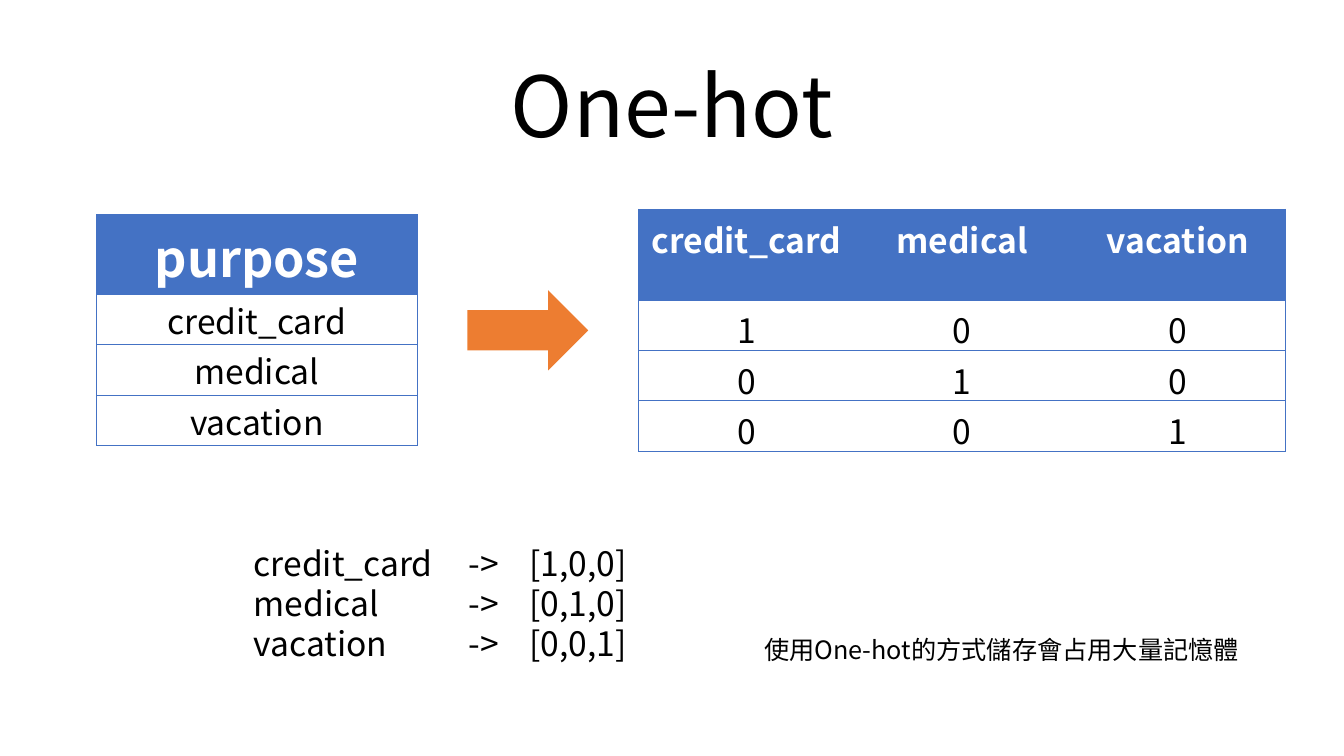
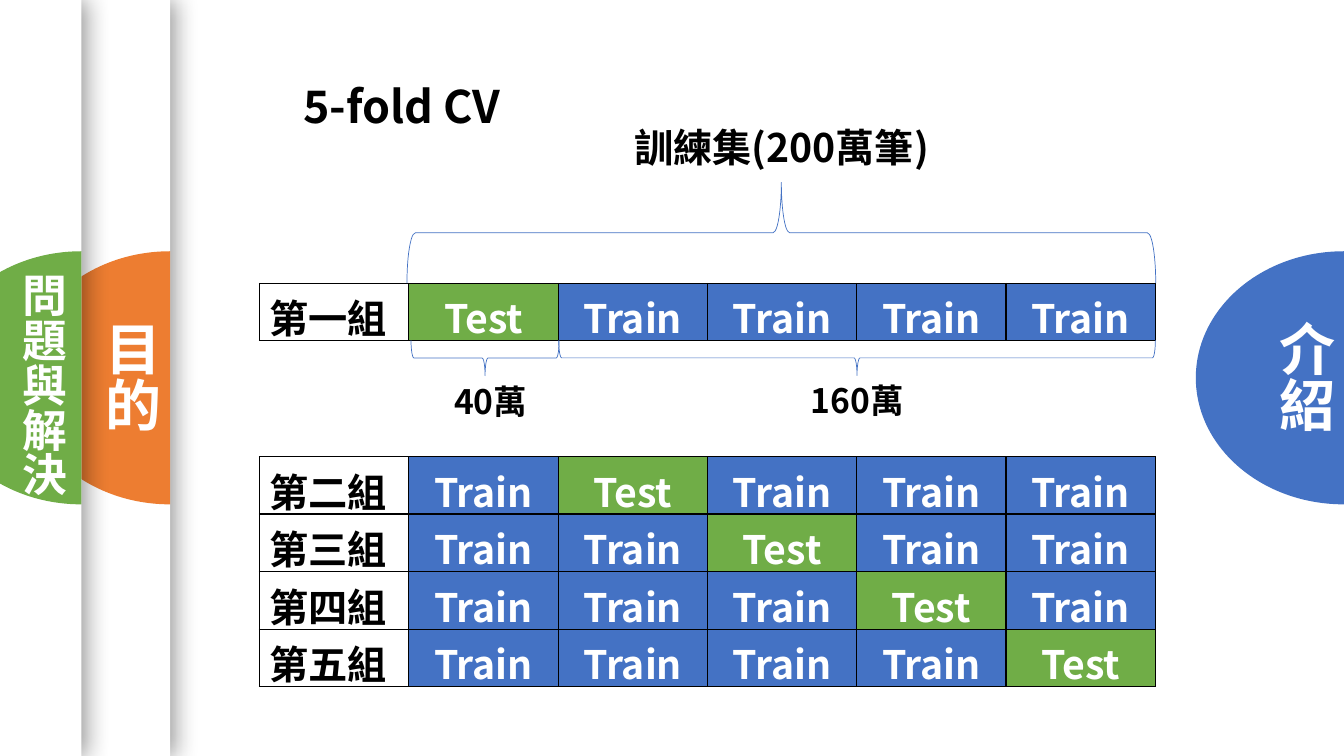
from lxml import etree
from pptx import Presentation
from pptx.dml.color import RGBColor
from pptx.enum.shapes import MSO_SHAPE
from pptx.enum.text import MSO_ANCHOR, PP_ALIGN
from pptx.oxml.ns import qn
from pptx.util import Pt

FONT = "Noto Sans CJK TC"
BLACK = RGBColor(0x00, 0x00, 0x00)
WHITE = RGBColor(0xFF, 0xFF, 0xFF)
BLUE = RGBColor(0x44, 0x72, 0xC4)
ORANGE = RGBColor(0xED, 0x7D, 0x31)
GREEN = RGBColor(0x70, 0xAD, 0x47)
LEFT, CENTER = PP_ALIGN.LEFT, PP_ALIGN.CENTER
MIDDLE = MSO_ANCHOR.MIDDLE
RECTANGLE, ARROW, BRACE = MSO_SHAPE.RECTANGLE, MSO_SHAPE.RIGHT_ARROW, MSO_SHAPE.LEFT_BRACE
WIDTH, HEIGHT = 960, 540
NO_STYLE = "{2D5ABB26-0587-4C30-8999-92F81FD0307C}"


def write(frame, text, size=24, color=BLACK, bold=False, align=LEFT, tab=None, vertical=False):
    """Fill a text frame, one paragraph for each line of text."""
    frame.word_wrap = True
    if vertical:
        frame._txBody.bodyPr.set("vert", "eaVert")
    for index, line in enumerate(text.split("\n")):
        paragraph = frame.add_paragraph() if index else frame.paragraphs[0]
        paragraph.alignment = align
        if tab:
            tabs = etree.SubElement(paragraph._p.get_or_add_pPr(), qn("a:tabLst"))
            etree.SubElement(tabs, qn("a:tab"), pos=str(Pt(tab)), algn="l")
        run = paragraph.add_run()
        run.text = line
        font = run.font
        font.name, font.size, font.bold = FONT, Pt(size), bold
        font.color.rgb = color
        etree.SubElement(run._r.get_or_add_rPr(), qn("a:ea"), typeface=FONT)


def add_grid(slide, left, top, column_width, row_heights, rows, line_color, line_width, inner_lines=True):
    """Add a table; each cell is (text, fill or None, text format)."""
    columns = len(rows[0])
    table = slide.shapes.add_table(len(rows), columns, Pt(left), Pt(top),
                                   Pt(column_width * columns), Pt(sum(row_heights))).table
    table.first_row = table.horz_banding = False
    table._tbl.tblPr.find(qn("a:tableStyleId")).text = NO_STYLE
    for column in table.columns:
        column.width = Pt(column_width)
    for row_index, (row, height) in enumerate(zip(rows, row_heights)):
        table.rows[row_index].height = Pt(height)
        for column_index, (text, fill, text_format) in enumerate(row):
            cell = table.cell(row_index, column_index)
            write(cell.text_frame, text, **text_format)
            if fill is None:
                cell.fill.background()
            else:
                cell.fill.solid()
                cell.fill.fore_color.rgb = fill
            sides = {"L": inner_lines or column_index == 0,
                     "R": inner_lines or column_index == columns - 1, "T": True, "B": True}
            properties = cell._tc.get_or_add_tcPr()
            for position, (side, visible) in enumerate(sides.items()):
                border = etree.Element(qn(f"a:ln{side}"), w=str(Pt(line_width)))
                if visible:
                    solid = etree.SubElement(border, qn("a:solidFill"))
                    etree.SubElement(solid, qn("a:srgbClr"), val=str(line_color))
                else:
                    etree.SubElement(border, qn("a:noFill"))
                properties.insert(position, border)
    return table


presentation = Presentation()
presentation.slide_width, presentation.slide_height = Pt(WIDTH), Pt(HEIGHT)
blank = presentation.slide_layouts[6]

# Slide 1: one-hot encoding
slide = presentation.slides.add_slide(blank)
box = slide.shapes.add_textbox(Pt(193.7), Pt(34.5), Pt(572.4), Pt(80))
write(box.text_frame, "One-hot", size=60, align=CENTER)

arrow = slide.shapes.add_shape(ARROW, Pt(333.8), Pt(207.2), Pt(86.4), Pt(57.4))
arrow.shadow.inherit = False
arrow.fill.solid()
arrow.fill.fore_color.rgb = ORANGE
arrow.line.fill.background()

# Encoded table
names = ["credit_card", "medical", "vacation"]
header = {"color": WHITE, "bold": True, "align": CENTER}
body = {"align": CENTER}
rows = [[(name, BLUE, header) for name in names]]
rows += [[(str(int(row == column)), None, body) for column in range(3)] for row in range(3)]
add_grid(slide, 456.1, 149.5, 154.1, [64.7, 36, 36, 36], rows, BLUE, 0.5, inner_lines=False)

# Mapping from name to vector
box = slide.shapes.add_textbox(Pt(174.2), Pt(384), Pt(211), Pt(94.5))
write(box.text_frame, "\n".join(names))
box = slide.shapes.add_textbox(Pt(327.7), Pt(384), Pt(152), Pt(94.5))
write(box.text_frame, "->\t[1,0,0]\n->\t[0,1,0]\n->\t[0,0,1]", tab=43.5)

# Source table
rows = [[("purpose", BLUE, {**header, "size": 36})]] + [[(name, None, body)] for name in names]
purposes = add_grid(slide, 69, 153.2, 229, [57, 36, 36, 36], rows, BLUE, 0.5)
for row in range(1, 4):
    cell = purposes.cell(row, 0)
    cell.vertical_anchor = MIDDLE
    cell.margin_left = cell.margin_right = cell.margin_top = Pt(0.75)
    cell.margin_bottom = 0

box = slide.shapes.add_textbox(Pt(538.9), Pt(449.5), Pt(381.6), Pt(29))
write(box.text_frame, "使用One-hot的方式儲存會占用大量記憶體", size=18)

# Slide 2: cross-validation
slide = presentation.slides.add_slide(blank)

# Stacked sheets with half-round tabs
tab_width, tab_top, tab_height = 105.8, 179.5, 180.8
tab_middle = tab_height / 2
tab_curves = [
    [(47.4, tab_height), (0, tab_height - 40.5)],
    [(0, 40.5), (47.4, 0)],
]
sheets = [
    (960, BLUE, "介紹", 40, (897.1, 222.7, 63.2, 181)),
    (121.6, ORANGE, "目的", 40, (58.2, 222.7, 63.2, 227)),
    (58.2, GREEN, "問題與解決", 32, (0, 188, 53.4, 227)),
]
for right, color, text, size, place in sheets:
    sheet = slide.shapes.add_shape(RECTANGLE, Pt(right - WIDTH), Pt(0), Pt(WIDTH), Pt(HEIGHT))
    sheet.shadow.inherit = False
    effects = sheet._element.spPr.find(qn("a:effectLst"))
    shadow = etree.SubElement(effects, qn("a:outerShdw"), blurRad=str(Pt(17)), dist=str(Pt(3)),
                              dir="0", algn="l", rotWithShape="0")
    shade = etree.SubElement(shadow, qn("a:srgbClr"), val=str(BLACK))
    etree.SubElement(shade, qn("a:alpha"), val="40000")
    sheet.fill.solid()
    sheet.fill.fore_color.rgb = WHITE

    builder = slide.shapes.build_freeform(Pt(right), Pt(tab_top))
    corners = [(right, tab_top + tab_height), (right - tab_width, tab_top + tab_middle), (right, tab_top)]
    builder.add_line_segments([(Pt(x), Pt(y)) for x, y in corners], close=True)
    half_round = builder.convert_to_shape()
    # Bend the two slanted edges
    edges = list(half_round._element.spPr.iter(qn("a:lnTo")))[1:]
    for edge, controls in zip(edges, tab_curves):
        curve = etree.Element(qn("a:cubicBezTo"))
        for x, y in controls:
            etree.SubElement(curve, qn("a:pt"), x=str(Pt(x)), y=str(Pt(y)))
        curve.append(edge[0])
        edge.getparent().replace(edge, curve)
    half_round.shadow.inherit = False
    half_round.fill.solid()
    half_round.fill.fore_color.rgb = color
    for shape in (sheet, half_round):
        shape.line.fill.background()

    box = slide.shapes.add_textbox(*map(Pt, place))
    write(box.text_frame, text, size=size, color=WHITE, bold=True, vertical=True)

# Folds: the test part moves one column to the right in each group
group_format = {"size": 28, "bold": True}
part_format = {**group_format, "color": WHITE, "align": CENTER}
fold_tops = [202.4] + [326.2 + 41.1 * step for step in range(4)]
for fold, (number, top) in enumerate(zip("一二三四五", fold_tops)):
    row = [(f"第{number}組", None, group_format)]
    row += [("Test", GREEN, part_format) if part == fold else ("Train", BLUE, part_format)
            for part in range(5)]
    add_grid(slide, 185.4, top, 106.65, [41], [row], BLACK, 1)

# Braces
for left, top, width, height, rotation in [
    (522.1, -101.1, 72, 534.8, 90),
    (333.9, 202.8, 25.2, 105.8, 270),
    (599.6, 42.5, 25.2, 426.2, 270),
]:
    brace = slide.shapes.add_shape(BRACE, Pt(left), Pt(top), Pt(width), Pt(height))
    brace.rotation = rotation
    brace.shadow.inherit = False
    brace.fill.background()
    brace.line.color.rgb = BLUE
    brace.line.width = Pt(0.5)

# Headings and counts
for text, size, align, place in [
    ("5-fold CV", 32, LEFT, (209.6, 52.6, 225.4, 46)),
    ("訓練集(200萬筆)", 28, CENTER, (445.6, 84.5, 225.4, 41)),
    ("40萬", 24, CENTER, (290.8, 268.5, 119.5, 36)),
    ("160萬", 24, CENTER, (552.8, 268, 119.5, 36)),
]:
    box = slide.shapes.add_textbox(*map(Pt, place))
    write(box.text_frame, text, size=size, bold=True, align=align)

presentation.save("out.pptx")
